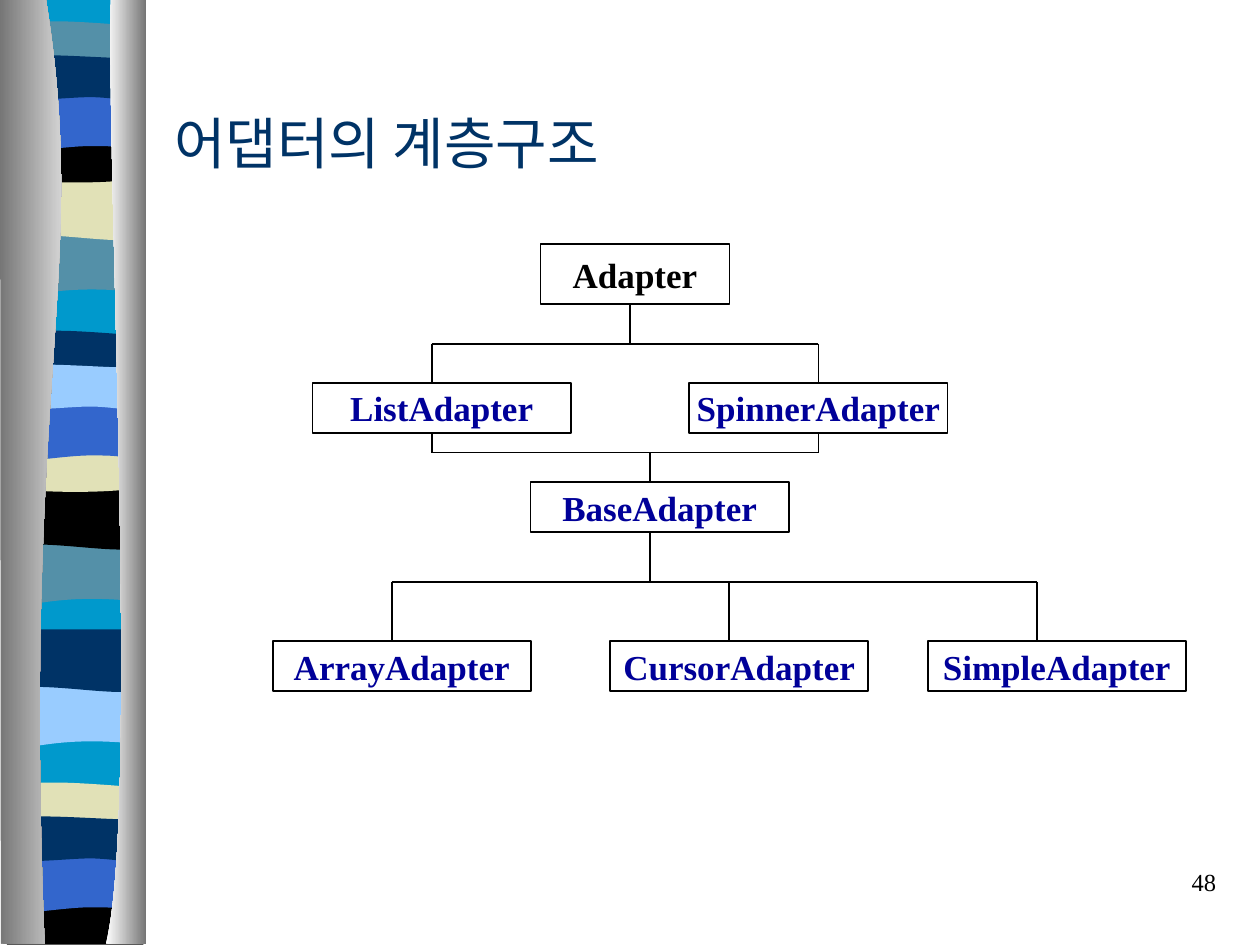
from lxml.etree import SubElement
from pptx import Presentation
from pptx.dml.color import RGBColor
from pptx.enum.shapes import MSO_CONNECTOR, MSO_SHAPE
from pptx.enum.text import MSO_ANCHOR, PP_ALIGN
from pptx.oxml.ns import qn
from pptx.util import Pt

BLACK = RGBColor(0x00, 0x00, 0x00)
WHITE = RGBColor(0xFF, 0xFF, 0xFF)
NAVY = RGBColor(0x00, 0x33, 0x66)
INDIGO = RGBColor(0x00, 0x00, 0x99)
CYAN = RGBColor(0x00, 0x99, 0xCC)
TEAL = RGBColor(0x54, 0x90, 0xA8)
SAND = RGBColor(0xE1, 0xE1, 0xB7)
BLUE = RGBColor(0x33, 0x66, 0xCC)
SKY = RGBColor(0x99, 0xCC, 0xFF)
GREY = RGBColor(0x76, 0x76, 0x76)

TITLE = "어댑터의 계층구조"
PAGE = "48"
SERIF = "Times New Roman"
TITLE_FONT = "Noto Sans CJK KR"

LEVELS = [
    (139.5, 34.2, 108, [(308.9, "Adapter", BLACK)]),
    (218.9, 28.4, 147.6, [(178.6, "ListAdapter", INDIGO), (393.9, "SpinnerAdapter", INDIGO)]),
    (275.6, 28.4, 147.6, [(303.2, "BaseAdapter", INDIGO)]),
    (366.4, 28.4, 147.6, [(155.8, "ArrayAdapter", INDIGO), (348.6, "CursorAdapter", INDIGO),
                          (530.1, "SimpleAdapter", INDIGO)]),
]
BUSES = [
    (196.4, [360], [246.7, 467.7]),
    (258.6, [246.7, 467.7], [371.5]),
    (332.5, [371.5], [223.8, 416.7, 592.5]),
]

WAVES = {
    "tall_dip": (133.2, [(78, 0), (78, 34), (24, 28, 13, 39.6, 0, 34), (0, 0)]),
    "tall_rise": (101.5, [(78, 0), (78, 34), (65, 39.6, 24, 29.5, 0, 34), (0, 0)]),
    "thin": (11.5, [(78, 3.6), (78, 21), (65, 24, 13, 24, 0, 21), (0, 3.6),
                    (4.3, 0, 16.5, 0.7, 29.5, 0.7), (42.5, 0.7, 67.7, 2.9, 78, 3.6)]),
    "bowl": (77.8, [(78, 0), (78, 23.5), (65, 27.5, 13, 27.5, 0, 23.5), (0, 0),
                    (47.5, 3.6, 61, 0, 78, 0)]),
    "base": (77.8, [(78, 0), (78, 27), (0, 27), (0, 0), (47.5, 3.6, 61, 0, 78, 0)]),
    "arch": (53.3, [(78, 0), (78, 34), (65.5, 30.2, 60.5, 30.2, 47.5, 30.2),
                    (34.5, 30.2, 11.5, 34, 0, 34), (0, 0)]),
    "flag": (29.5, [(78, 3.6), (78, 26), (73, 29.5, 60.5, 26, 47.5, 26),
                    (34.5, 26, 8, 29.5, 0, 26), (0, 3.6),
                    (11, 0, 52.5, 3.6, 65.5, 3.6), (79, 3.6, 75, 3.6, 78, 3.6)]),
}
RIBBONS = [
    (0, [("tall_dip", TEAL), ("tall_rise", SAND), ("thin", TEAL), ("bowl", BLACK),
         ("arch", BLUE), ("flag", NAVY)]),
    (176.8, [("tall_dip", TEAL), ("tall_rise", BLACK), ("thin", NAVY), ("bowl", SAND),
             ("arch", BLUE), ("flag", SKY)]),
    (258.2, [("tall_dip", SKY), ("tall_rise", NAVY)]),
    (435, [("thin", SAND), ("base", BLACK), ("arch", BLUE), ("flag", NAVY)]),
]
RIBBON_LEFT = 4
BACKDROP = [(82, -0.7), (82, 538), (4, 538), (4, -0.7)]
RAILS = [
    ([(26.2, -0.7), (51.4, 155.5, 12.5, 213, 25.5, 539.3), (0.5, 539.3), (0, -0.7)], GREY, WHITE),
    ([(63.4, -0.7), (60.5, 90, 80, 465, 60.5, 539.3), (83.5, 539.3), (83.5, 0)], WHITE, GREY),
]


def add_outline(slide, outline, left=0, top=0):
    points = [(Pt(left + x), Pt(top + y))
              for step in outline for x, y in zip(step[::2], step[1::2])]
    builder = slide.shapes.build_freeform(*points[0], scale=1.0)
    builder.add_line_segments(points[1:], close=True)
    shape = builder.convert_to_shape()
    segments = iter(list(shape._element.iter(qn("a:lnTo"))))
    for step in outline[1:]:
        segment = next(segments)
        if len(step) == 6:
            segment.tag = qn("a:cubicBezTo")
            for _ in range(2):
                extra = next(segments)
                segment.append(extra[0])
                extra.getparent().remove(extra)
    shape.shadow.inherit = False
    shape.line.fill.background()
    return shape


def fill_solid(shape, color):
    shape.fill.solid()
    shape.fill.fore_color.rgb = color


def add_line(slide, x1, y1, x2, y2):
    line = slide.shapes.add_connector(MSO_CONNECTOR.STRAIGHT, Pt(x1), Pt(y1), Pt(x2), Pt(y2))
    line.line.color.rgb = BLACK
    line.line.width = Pt(1)
    SubElement(line._element.spPr, qn("a:effectLst"))


def write(shape, text, size, color, font=SERIF, align=PP_ALIGN.LEFT,
          anchor=MSO_ANCHOR.MIDDLE, bold=False, wrap=True):
    frame = shape.text_frame
    frame.text = text
    frame.word_wrap = wrap
    frame.vertical_anchor = anchor
    paragraph = frame.paragraphs[0]
    paragraph.alignment = align
    run = paragraph.runs[0]
    run.font.size = Pt(size)
    run.font.bold = bold
    run.font.name = font
    run.font.color.rgb = color
    SubElement(run._r.get_or_add_rPr(), qn("a:ea")).set("typeface", font)


def draw_ribbon(slide):
    fill_solid(add_outline(slide, BACKDROP), CYAN)
    for offset, waves in RIBBONS:
        for wave, color in waves:
            top, outline = WAVES[wave]
            fill_solid(add_outline(slide, outline, RIBBON_LEFT, top + offset), color)
    for outline, start, end in RAILS:
        fill = add_outline(slide, outline).fill
        fill.gradient()
        fill.gradient_angle = 0
        for stop, color in zip(fill.gradient_stops, (start, end)):
            stop.color.rgb = color


def draw_hierarchy(slide):
    for top, height, width, adapters in reversed(LEVELS):
        for left, label, color in reversed(adapters):
            box = slide.shapes.add_shape(MSO_SHAPE.RECTANGLE, Pt(left), Pt(top), Pt(width), Pt(height))
            box.shadow.inherit = False
            fill_solid(box, WHITE)
            box.line.color.rgb = BLACK
            box.line.width = Pt(1)
            write(box, label, 20, color, align=PP_ALIGN.CENTER, bold=True, wrap=False)
    for (y, parents, children), upper, lower in zip(BUSES, LEVELS, LEVELS[1:]):
        for x in parents:
            add_line(slide, x, upper[0] + upper[1], x, y)
        add_line(slide, min(parents + children), y, max(parents + children), y)
        for x in children:
            add_line(slide, x, y, x, lower[0])


def main():
    deck = Presentation()
    deck.slide_width, deck.slide_height = Pt(720), Pt(540)
    slide = deck.slides.add_slide(deck.slide_layouts[6])
    draw_ribbon(slide)
    page = slide.shapes.add_textbox(Pt(552.2), Pt(491.8), Pt(149.8), Pt(36))
    write(page, PAGE, 14, BLACK, align=PP_ALIGN.RIGHT, anchor=MSO_ANCHOR.TOP)
    title = slide.shapes.add_textbox(Pt(92.5), Pt(36), Pt(612), Pt(90))
    write(title, TITLE, 32, NAVY, font=TITLE_FONT)
    draw_hierarchy(slide)
    deck.save("out.pptx")


if __name__ == "__main__":
    main()
